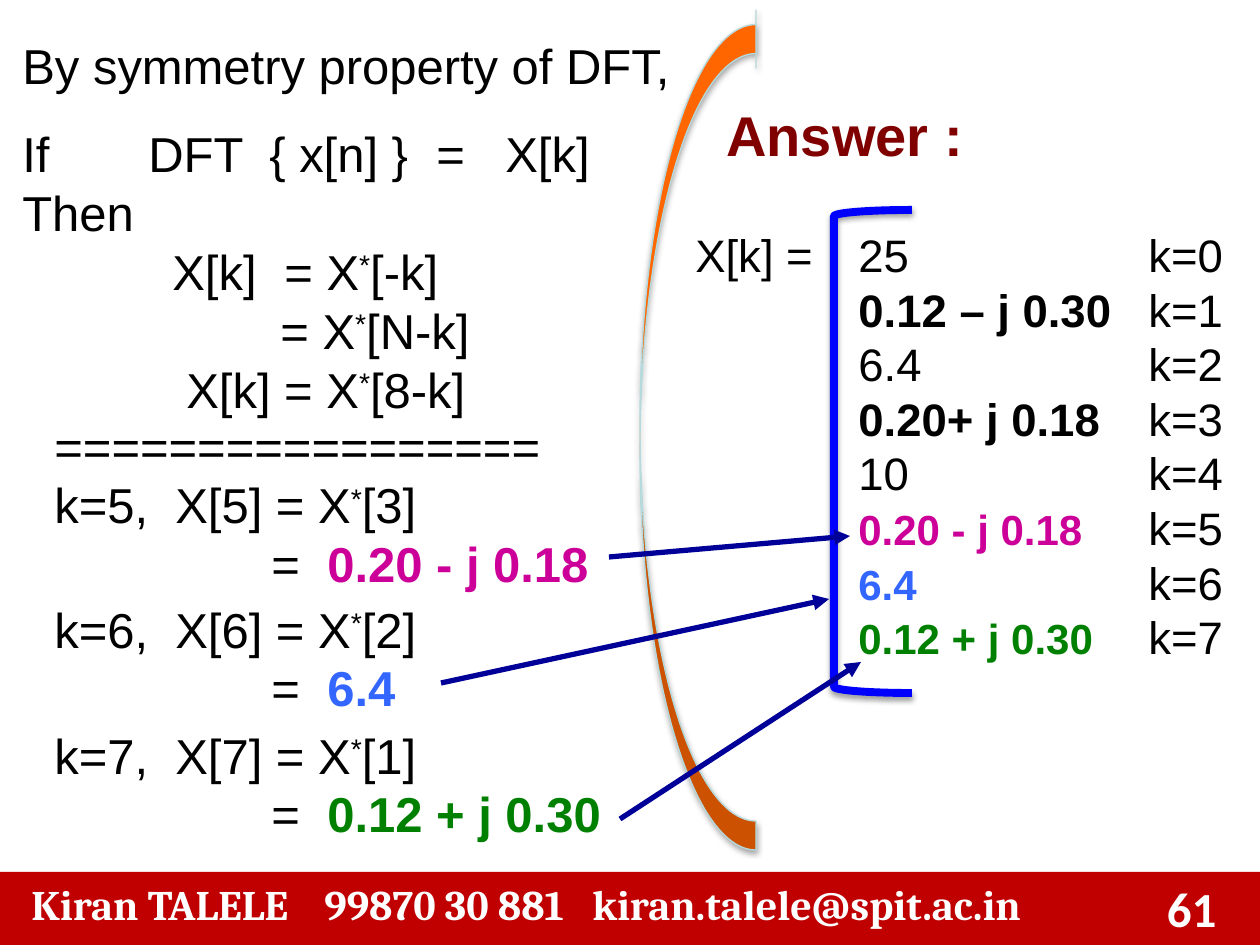
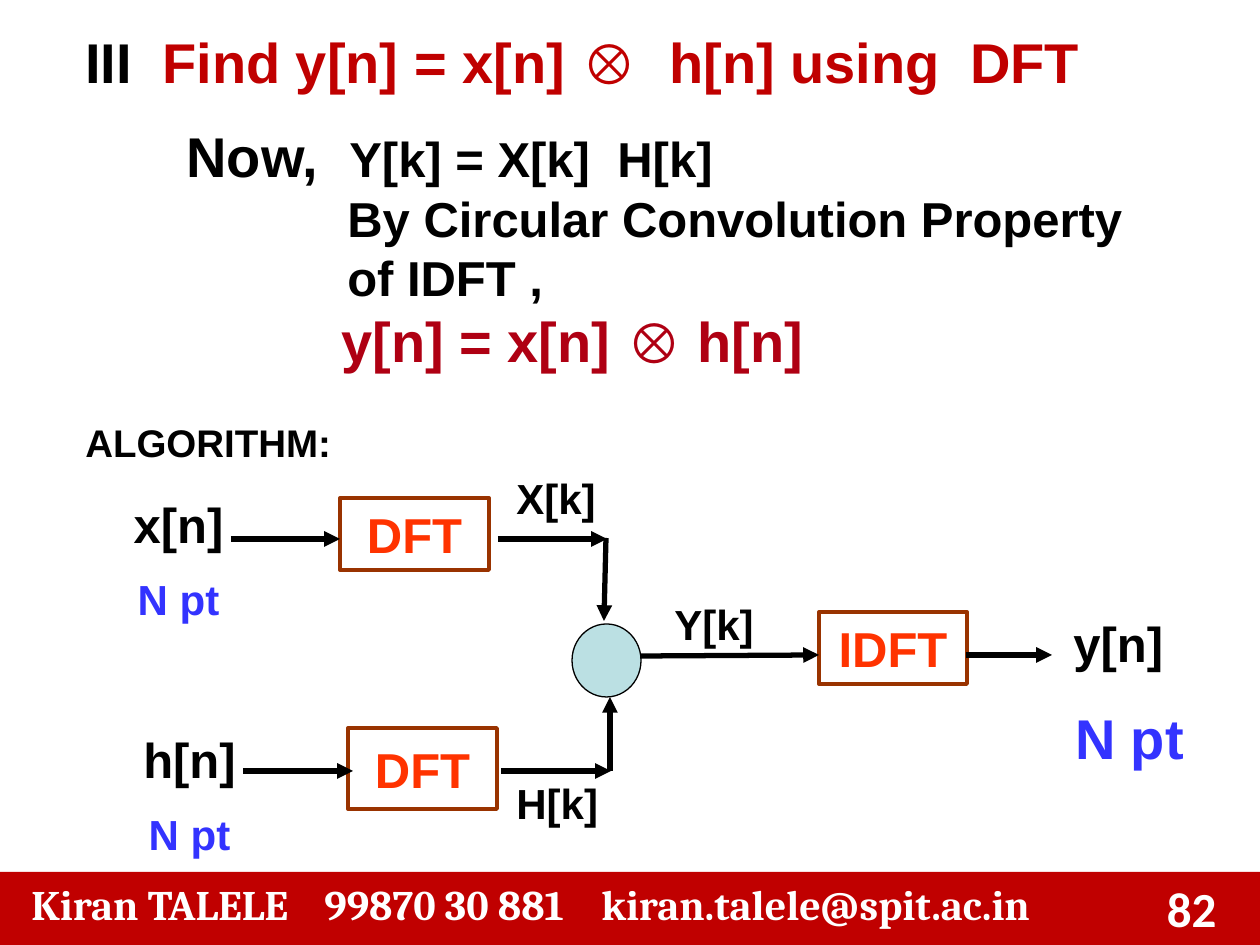
import pptx
import pptx.dml.color
import pptx.enum.shapes
import pptx.enum.text
import pptx.oxml.ns
import pptx.util
from lxml import etree

SCALE = 914400 / 126  # EMU per px
SHAPE = pptx.enum.shapes.MSO_SHAPE
ALIGN = pptx.enum.text.PP_ALIGN
ANCHOR = pptx.enum.text.MSO_ANCHOR


class Theme:
    black, white, band = "000000", "FFFFFF", "C00000"
    magenta, blue, green = "CC0099", "3366FF", "008000"
    maroon, crimson, violet = "800000", "AF0013", "3333FF"
    bracket, navy, orange, pale = "0000FF", "000099", "FF6600", "B5DADD"
    block_line, block_text, node = "993300", "FF3300", "BBE0E3"
    big, body, answer, label, heading = 32, 28, 26, 24, 22
    font, footer_font, number_font = "Arial", "Cambria", "Calibri"


def para(*runs, tabs=(), align=None, line=None, before=None):
    """A run is a string, or a string with the styles it changes."""
    return dict(runs=runs, tabs=tabs, align=align, line=line, before=before)


def styled(color, **more):
    return dict(color=color, bold=True, **more)


STAR = ("*", dict(sup=True))

# Slide 1 content
SYMMETRY = [
    para("By symmetry property of DFT,", line=1.5),
    para("If\tDFT\t{ x[n] }\t=\tX[k]", tabs=(126, 247, 414, 483), line=1.5),
    para("Then"),
    para("\tX[k]\t= X", STAR, "[-k]", tabs=(150, 262)),
    para("\t= X", STAR, "[N-k]", tabs=(258,)),
    para("\tX[k] = X", STAR, "[8-k]", tabs=(164,)),
]
# top, k, mirrored index, value, colour
MIRRORED = [
    (410, 5, 3, "0.20 - j 0.18", Theme.magenta),
    (593, 6, 2, "6.4", Theme.blue),
    (719, 7, 1, "0.12 + j 0.30", Theme.green),
]
SEPARATOR = "================="
# value, changed styles
ANSWERS = [
    ("25", {}),
    ("0.12 – j 0.30", styled(Theme.black)),
    ("6.4", {}),
    ("0.20+ j 0.18", styled(Theme.black)),
    ("10", {}),
] + [(value, styled(color, size=Theme.label)) for *_, value, color in MIRRORED]
ANSWER_TABS = (163, 453)
VALUE_ARROWS = [
    (609, 557, 850, 536),
    (441, 683, 829, 599),
    (620, 819, 861, 662),
]

# Slide 2 content
TITLE = [para("III\t", ("Find y[n] = x[n] ⊗\th[n] using\tDFT", dict(color=Theme.band)),
              tabs=(77, 584, 885))]
PROPERTY = [
    para("\t", ("Now,", dict(size=Theme.big)), "\tY[k] = X[k]\tH[k]", tabs=(16, 179, 447)),
    para("\tBy Circular Convolution Property", tabs=(177,)),
    para("\tof IDFT ,", tabs=(177,)),
    para(("\ty[n] = x[n] ⊗ h[n]", dict(size=Theme.big, color=Theme.crimson)), tabs=(171,)),
]
BLOCKS = [
    ("DFT", (340, 498, 149, 72)),
    ("DFT", (348, 728, 149, 81)),
    ("IDFT", (819, 612, 148, 72)),
]
MULTIPLIER = (572, 624, 69, 73)
FLOW = [
    (498, 539, 607, 539), (501, 771, 611, 771), (641, 656, 819, 655),
    (606, 538, 604, 621), (610, 771, 610, 697), (966, 655, 1052, 655),
    (231, 539, 340, 539), (243, 771, 353, 771),
]
INPUTS = [("x[n]", 105, 488), ("h[n]", 116, 723)]
SPECTRA = [("X[k]", 504, 466), ("H[k]", 504, 771), ("Y[k]", 662, 592)]


def px(*values):
    return [pptx.util.Emu(round(v * SCALE)) for v in values]


def rgb(color):
    return pptx.dml.color.RGBColor.from_string(color)


def add_xml(parent, tag, **attrs):
    return etree.SubElement(parent, pptx.oxml.ns.qn(tag), attrs)


def write(sp, paras, size=Theme.body, color=Theme.black, bold=False,
          font=Theme.font, anchor=ANCHOR.TOP, side=None):
    tf = sp.text_frame
    tf.word_wrap = True
    tf.vertical_anchor = anchor
    if side is not None:
        tf.margin_left = tf.margin_right = side
    for i, item in enumerate(paras):
        p = tf.add_paragraph() if i else tf.paragraphs[0]
        p.alignment = item["align"] or ALIGN.LEFT
        if item["line"]:
            p.line_spacing = item["line"]
        if item["before"]:
            p.space_before = pptx.util.Pt(item["before"])
        if item["tabs"]:
            tabs = add_xml(p._p.get_or_add_pPr(), "a:tabLst")
            for pos in px(*item["tabs"]):
                add_xml(tabs, "a:tab", pos=str(pos), algn="l")
        for run in item["runs"]:
            text, changes = (run, {}) if isinstance(run, str) else run
            r = p.add_run()
            r.text = text
            r.font.name = font
            r.font.size = pptx.util.Pt(changes.get("size", size))
            r.font.bold = changes.get("bold", bold)
            r.font.color.rgb = rgb(changes.get("color", color))
            if changes.get("sup"):
                r._r.get_or_add_rPr().set("baseline", "30000")


def add_text(slide, box, paras, **style):
    write(slide.shapes.add_textbox(*px(*box)), paras, **style)


def add_shape(slide, kind, box, fill=None, line=None, width=0.75):
    sp = slide.shapes.add_shape(kind, *px(*box))
    sp.shadow.inherit = False
    if fill:
        sp.fill.solid()
        sp.fill.fore_color.rgb = rgb(fill)
    else:
        sp.fill.background()
    if line:
        sp.line.color.rgb = rgb(line)
        sp.line.width = pptx.util.Pt(width)
    else:
        sp.line.fill.background()
    return sp


def add_shadow(sp, alpha):
    effects = sp._element.spPr.find(pptx.oxml.ns.qn("a:effectLst"))
    shadow = add_xml(effects, "a:outerShdw", blurRad="40000", dist="20000",
                     dir="5400000", rotWithShape="0")
    black = add_xml(shadow, "a:srgbClr", val=Theme.black)
    add_xml(black, "a:alpha", val=str(alpha * 1000))


def add_arrow(slide, ends, color):
    c = slide.shapes.add_connector(pptx.enum.shapes.MSO_CONNECTOR.STRAIGHT, *px(*ends))
    c.line.color.rgb = rgb(color)
    c.line.width = pptx.util.Pt(3)
    add_xml(c.line._get_or_add_ln(), "a:tailEnd", type="triangle")
    add_xml(c._element.spPr, "a:effectLst")


def add_footer(slide, number, mail_tab):
    band = add_shape(slide, SHAPE.RECTANGLE, (0, 872, 1260, 73), fill=Theme.band)
    contact = para("\tKiran TALELE\t99870 30 881\tkiran.talele@spit.ac.in",
                   tabs=(19, 312, mail_tab))
    write(band, [contact], size=Theme.label, color=Theme.white, bold=True,
          font=Theme.footer_font)
    add_text(slide, (1143, 872, 86, 73), [para(number, align=ALIGN.RIGHT)],
             color=Theme.white, bold=True, font=Theme.number_font)


def build_symmetry(slide):
    # Answer column and footer
    rows = [para("" if k else "X[k] =", "\t", (value, style), f"\tk={k}", tabs=ANSWER_TABS)
            for k, (value, style) in enumerate(ANSWERS)]
    add_text(slide, (683, 221, 577, 494), rows, size=Theme.answer)
    add_footer(slide, "61", 580)

    # Derivation
    add_text(slide, (10, 0, 693, 428), SYMMETRY)
    for i, (top, k, mirror, value, color) in enumerate(MIRRORED):
        steps = [
            para(f"k={k},\tX[{k}] = X", STAR, f"[{mirror}]", tabs=(121,)),
            para("\t=\t", (value, styled(color)), tabs=(217, 273)),
        ]
        if i == 0:
            steps.insert(0, para(SEPARATOR))
        add_text(slide, (42, top, 630, 62 * len(steps)), steps)

    # Bracket, heading and curved divider
    bracket = add_shape(slide, SHAPE.LEFT_BRACKET, (834, 210, 78, 483),
                        line=Theme.bracket, width=4.5)
    bracket.adjustments[0] = 0.08
    add_shadow(bracket, 38)
    add_text(slide, (714, 94, 265, 81), [para("Answer :")], size=Theme.big,
             color=Theme.maroon, bold=True)
    curve = add_shape(slide, SHAPE.CURVED_RIGHT_ARROW, (640, 10, 116, 840),
                      fill=Theme.orange, line=Theme.pale)
    for i, value in enumerate((0.25, 0.5, 0)):
        curve.adjustments[i] = value
    curve.rotation = 180
    curve._element.spPr.find(pptx.oxml.ns.qn("a:xfrm")).set("flipH", "1")
    add_shadow(curve, 35)

    for ends in VALUE_ARROWS:
        add_arrow(slide, ends, Theme.navy)


def build_convolution(slide):
    # Title, footer and property
    add_text(slide, (73, 21, 1166, 81), TITLE, size=Theme.big, bold=True)
    add_footer(slide, "82", 589)
    add_text(slide, (158, 115, 1102, 267), PROPERTY, bold=True)
    add_text(slide, (73, 413, 273, 59), [para("ALGORITHM:")], size=Theme.heading, bold=True)

    # Block diagram
    for name, box in BLOCKS:
        block = add_shape(slide, SHAPE.RECTANGLE, box, line=Theme.block_line, width=2.25)
        write(block, [para(name, align=ALIGN.CENTER)], color=Theme.block_text,
              bold=True, anchor=ANCHOR.MIDDLE, side=0)
    add_shape(slide, SHAPE.OVAL, MULTIPLIER, fill=Theme.node, line=Theme.black)
    for ends in FLOW:
        add_arrow(slide, ends, Theme.black)

    # Signal labels
    points = ("N pt", dict(size=Theme.label, color=Theme.violet, bold=True))
    for name, left, top in INPUTS:
        add_text(slide, (left, top, 147, 149),
                 [para(name, align=ALIGN.CENTER),
                  para(points, align=ALIGN.CENTER, before=12)], bold=True)
    for name, left, top in SPECTRA:
        add_text(slide, (left, top, 126, 64), [para(name)], size=Theme.label, bold=True)
    add_text(slide, (1061, 607, 147, 72), [para("y[n]")], bold=True)
    add_text(slide, (1062, 697, 135, 81), [para("N pt", align=ALIGN.CENTER)],
             size=Theme.big, color=Theme.violet, bold=True)


def main():
    prs = pptx.Presentation()
    prs.slide_width, prs.slide_height = px(1260, 945)
    for build in (build_symmetry, build_convolution):
        build(prs.slides.add_slide(prs.slide_layouts[6]))
    prs.save("out.pptx")


if __name__ == "__main__":
    main()
